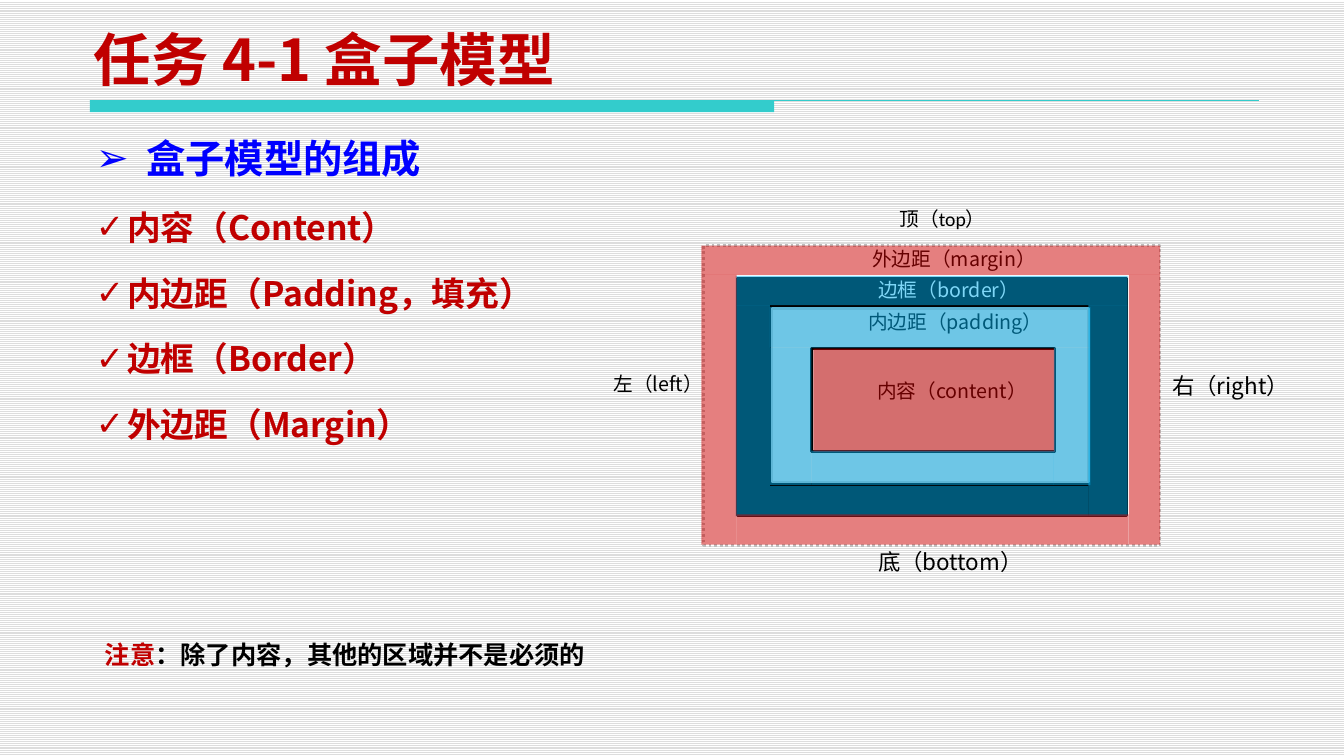
from dataclasses import dataclass
from typing import NamedTuple, Optional

from lxml.etree import SubElement
from pptx import Presentation
from pptx.dml.color import RGBColor
from pptx.enum.dml import MSO_LINE, MSO_PATTERN
from pptx.enum.shapes import MSO_CONNECTOR, MSO_SHAPE
from pptx.enum.text import MSO_ANCHOR
from pptx.oxml.ns import qn
from pptx.util import Inches, Pt


@dataclass(frozen=True)
class Theme:
    cjk: str = "Noto Sans CJK SC"
    sans: str = "DejaVu Sans"
    label: str = "Calibri"
    red: str = "C00000"
    blue: str = "0000FF"
    teal: str = "33CCCC"
    black: str = "000000"
    white: str = "FFFFFF"
    stripe: str = "DDDDDD"
    edge: str = "BDBDBD"
    margin_tint: str = "CC0000"
    inner_tint: str = "00B0F0"
    title_pt: int = 41
    heading_pt: int = 28
    item_pt: int = 24
    note_pt: int = 18
    big_label_pt: int = 16
    label_pt: int = 14


T = Theme()


class Box(NamedTuple):
    left: float
    top: float
    width: float
    height: float


class Edges(NamedTuple):
    left: float
    top: float
    right: float
    bottom: float


class Style(NamedTuple):
    size: int
    color: str = T.black
    bold: bool = False
    font: str = T.cjk


class Layer(NamedTuple):
    box: Box
    fill: str
    line: str
    dash: Optional[MSO_LINE] = None


class Ring(NamedTuple):
    outer: Edges
    inner: Edges
    tint: str


class Label(NamedTuple):
    text: str
    box: Box
    style: Style = Style(T.label_pt)


class Bullet(NamedTuple):
    char: str
    text: str
    style: Style
    indent: float
    before: int


ITEM = Style(T.item_pt, T.red, True)
BULLETS = [Bullet("➢", "盒子模型的组成", Style(T.heading_pt, T.blue, True, T.sans), 0.5, 0)] + [
    Bullet("✓", text, ITEM, 0.31, 18)
    for text in ("内容（Content）", "内边距（Padding，填充）", "边框（Border）", "外边距（Margin）")
]
LAYERS = [
    Layer(Box(6.96, 2.43, 4.52, 2.97), T.white, T.edge, MSO_LINE.ROUND_DOT),
    Layer(Box(7.3, 2.75, 3.85, 2.35), T.black, T.black),
    Layer(Box(7.64, 3.05, 3.13, 1.72), T.stripe, T.edge),
    Layer(Box(8.03, 3.45, 2.41, 1.02), T.stripe, T.black),
]
LABELS = [
    Label("顶（top）", Box(8.9, 2.05, 1.15, 0.34), Style(T.label_pt, font=T.label)),
    Label("左（left）", Box(6.07, 3.68, 1.2, 0.34)),
    Label("底（bottom）", Box(8.69, 5.42, 1.65, 0.34), Style(T.big_label_pt)),
    Label("右（right）", Box(11.6, 3.68, 1.4, 0.34), Style(T.big_label_pt)),
    Label("外边距（margin）", Box(8.63, 2.44, 1.95, 0.34)),
    Label("边框（border）", Box(8.69, 2.75, 1.75, 0.34), Style(T.label_pt, T.white)),
    Label("内边距（padding）", Box(8.59, 3.07, 2, 0.34)),
    Label("内容（content）", Box(8.68, 3.75, 1.75, 0.34)),
]
CONTENT = Box(8.05, 3.45, 2.39, 1.02)
RINGS = [
    Ring(Edges(7.62, 3.04, 10.79, 4.8), Edges(8.03, 3.44, 10.43, 4.46), T.inner_tint),
    Ring(Edges(7.28, 2.73, 11.16, 5.11), Edges(7.62, 3.02, 10.77, 4.81), T.inner_tint),
    Ring(Edges(6.94, 2.43, 11.48, 5.39), Edges(7.29, 2.72, 11.17, 5.09), T.margin_tint),
]


def rgb(color: str) -> RGBColor:
    return RGBColor.from_string(color)


def add_run(p, text: str, style: Style) -> None:
    r = p.add_run()
    r.text = text
    formats = {"size": Pt(style.size), "bold": style.bold, "name": style.font}
    for name, value in formats.items():
        setattr(r.font, name, value)
    r.font.color.rgb = rgb(style.color)
    SubElement(r.font._element, qn("a:ea")).set("typeface", T.cjk)


def add_text(slide, box: Box, wrap: bool = True, inset: tuple = (0.11, 0.05)):
    tf = slide.shapes.add_textbox(*map(Inches, box)).text_frame
    x, y = map(Inches, inset)
    formats = {"word_wrap": wrap, "margin_left": x, "margin_right": x,
               "margin_top": y, "margin_bottom": y}
    for name, value in formats.items():
        setattr(tf, name, value)
    return tf


def add_rect(slide, box: Box, fill: str):
    sp = slide.shapes.add_shape(MSO_SHAPE.RECTANGLE, *map(Inches, box))
    sp.shadow.inherit = False
    sp.fill.solid()
    sp.fill.fore_color.rgb = rgb(fill)
    sp.line.fill.background()
    return sp


def add_tint(slide, box: Box, color: str) -> None:
    """Draw a half-transparent rectangle."""
    sp = add_rect(slide, box, color)
    clr = sp._element.spPr.find(qn("a:solidFill")).find(qn("a:srgbClr"))
    SubElement(clr, qn("a:alpha")).set("val", "50000")


def add_layer(slide, layer: Layer) -> None:
    ln = add_rect(slide, layer.box, layer.fill).line
    ln.color.rgb = rgb(layer.line)
    ln.width = Pt(2)
    if layer.dash:
        ln.dash_style = layer.dash


def add_ring(slide, ring: Ring) -> None:
    """Fill the space between two rectangles with four tinted bars."""
    o, i = ring.outer, ring.inner
    for box in (
        Box(o.left, o.top, o.right - o.left, i.top - o.top),
        Box(o.left, i.top, i.left - o.left, o.bottom - i.top),
        Box(i.left, i.bottom, i.right - i.left, o.bottom - i.bottom),
        Box(i.right, i.top, o.right - i.right, o.bottom - i.top),
    ):
        add_tint(slide, box, ring.tint)


def add_bullets(slide, box: Box) -> None:
    tf = add_text(slide, box)
    for n, b in enumerate(BULLETS):
        p = tf.add_paragraph() if n else tf.paragraphs[0]
        p.space_before = Pt(b.before)
        pPr = p._p.get_or_add_pPr()
        pPr.set("marL", str(Inches(b.indent)))
        pPr.set("indent", str(-Inches(b.indent)))
        clr = SubElement(pPr, qn("a:buClr"))
        SubElement(clr, qn("a:srgbClr")).set("val", b.style.color)
        SubElement(pPr, qn("a:buFont")).set("typeface", T.sans)
        SubElement(pPr, qn("a:buChar")).set("char", b.char)
        add_run(p, b.text, b.style)


def add_header(slide) -> None:
    add_rect(slide, Box(0.89, 0.99, 6.77, 0.12), T.teal)
    rule = slide.shapes.add_connector(
        MSO_CONNECTOR.STRAIGHT, *map(Inches, (0.89, 0.99, 12.46, 0.99)))
    rule.line.color.rgb = rgb(T.teal)
    rule.line.width = Pt(0.75)
    SubElement(rule._element.spPr, qn("a:effectLst"))
    tf = add_text(slide, Box(0.82, 0.28, 8.03, 0.69))
    tf.vertical_anchor = MSO_ANCHOR.BOTTOM
    add_run(tf.paragraphs[0], "任务 4-1 盒子模型", Style(T.title_pt, T.red, True))


def main() -> None:
    prs = Presentation()
    prs.slide_width, prs.slide_height = Inches(13.3), Inches(7.48)
    slide = prs.slides.add_slide(prs.slide_layouts[6])
    bg = slide.background.fill
    bg.patterned()
    bg.pattern = MSO_PATTERN.LIGHT_HORIZONTAL
    bg.fore_color.rgb, bg.back_color.rgb = rgb(T.stripe), rgb(T.white)

    add_header(slide)
    add_bullets(slide, Box(0.84, 1.28, 8.5, 3.21))
    for layer in LAYERS:
        add_layer(slide, layer)
    for label in LABELS:
        tf = add_text(slide, label.box, inset=(0, 0))
        add_run(tf.paragraphs[0], label.text, label.style)
    note = add_text(slide, Box(0.94, 6.28, 5, 0.4), wrap=False, inset=(0.1, 0.05)).paragraphs[0]
    add_run(note, "注意", Style(T.note_pt, T.red, True, T.sans))
    add_run(note, "：除了内容，其他的区域并不是必须的", Style(T.note_pt, T.black, True, T.sans))
    add_tint(slide, CONTENT, T.margin_tint)
    for ring in RINGS:
        add_ring(slide, ring)
    prs.save("out.pptx")


if __name__ == "__main__":
    main()
